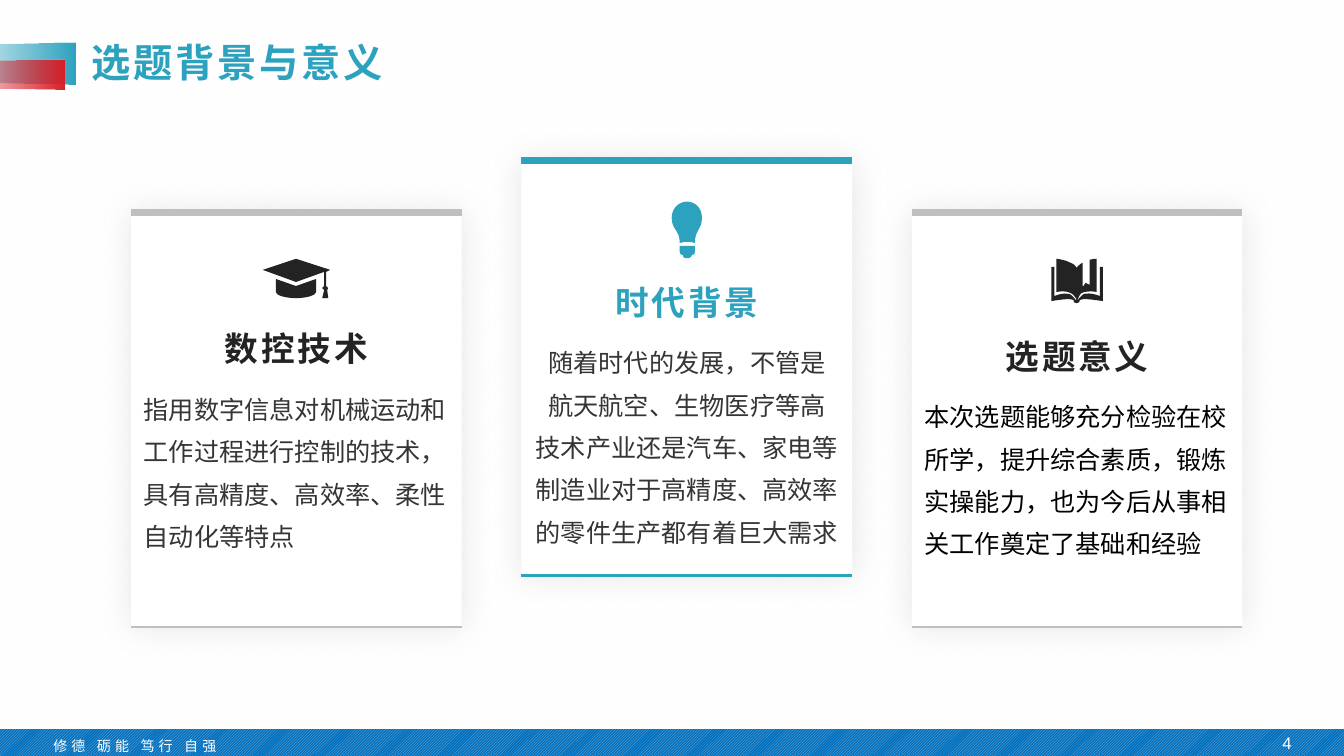
from dataclasses import dataclass

from lxml.etree import SubElement
from pptx import Presentation
from pptx.dml.color import RGBColor
from pptx.enum.dml import MSO_PATTERN
from pptx.enum.shapes import MSO_CONNECTOR, MSO_SHAPE
from pptx.enum.text import MSO_ANCHOR, PP_ALIGN
from pptx.oxml.ns import qn
from pptx.util import Inches, Pt

WIDTH, HEIGHT = Inches(13.33), Inches(7.5)
SANS = "Noto Sans CJK SC"
TEAL, RED, GREY, INK, TEXT, WHITE = "2DA2BF", "DA1F28", "BFBFBF", "232323", "353535", "FFFFFF"

# Card grid, in percent of the slide's width and height
FIRST_LEFT, PITCH, CARD_WIDTH, CARD_HEIGHT = 9.75, 29.05, 24.6, 54.9

# Icon outlines in hundredths of an inch: a pair is a corner,
# six numbers are a curve (two control points and an end)
Contour = list[tuple[float, ...]]
HAT: list[Contour] = [
    [(65, 29), (63, 27), (63, 13), (67, 11), (33, 0), (0, 11), (33, 23), (61, 13),
     (61, 27), (59, 29), (61, 31), (59, 39), (65, 39), (64, 31)],
    [(13, 20), (13, 33), (13, 36, 22, 39, 33, 39), (44, 39, 53, 36, 53, 33), (53, 20), (33, 27)],
]
BULB: list[Contour] = [
    [(8, 50), (8, 52, 9, 53, 11, 53), (11, 54, 12, 56, 13, 56), (17, 56),
     (19, 56, 20, 54, 20, 53), (22, 53, 23, 52, 23, 50), (23, 44), (8, 44)],
    [(15, 40), (17, 40, 19, 40, 23, 41), (23, 28, 30, 28, 30, 16), (30, 7, 24, 0, 15, 0),
     (7, 0, 0, 7, 0, 16), (0, 28, 8, 28, 8, 41), (11, 40, 14, 40, 15, 40)],
]
BOOK: list[Contour] = [
    [(22, 41), (22, 42), (22, 43, 23, 44, 25, 44), (27, 44, 28, 43, 28, 42), (28, 41),
     (29, 41, 30, 40, 32, 40), (39, 40, 51, 42, 51, 42), (51, 8), (48, 8), (48, 37),
     (48, 37, 39, 33, 32, 35), (30, 36, 28, 39, 26, 41), (26, 40), (27, 39, 28, 35, 30, 34),
     (37, 31, 45, 33, 45, 33), (45, 0), (45, 0, 42, 0, 38, 1), (38, 26), (34, 24), (31, 28),
     (31, 4), (28, 5, 25, 9, 25, 9), (25, 9, 23, 5, 19, 4), (14, 1, 5, 0, 5, 0), (5, 33),
     (5, 33, 14, 31, 19, 34), (22, 35, 24, 39, 25, 40), (24, 41), (23, 39, 20, 36, 18, 35),
     (12, 33, 3, 37, 3, 37), (3, 8), (0, 8), (0, 42), (0, 42, 11, 40, 18, 40),
     (20, 40, 21, 41, 22, 41)],
]


@dataclass
class Card:
    heading: str
    lines: list[str]
    icon: list[Contour]
    icon_offset: float
    icon_top: float
    top: float
    heading_top: float
    body_top: float
    accent: str = GREY
    heading_color: str = INK
    body_color: str = TEXT
    body_font: str = SANS
    align: PP_ALIGN = PP_ALIGN.LEFT


CARDS = [
    Card("数控技术",
         ["指用数字信息对机械运动和", "工作过程进行控制的技术，", "具有高精度、高效率、柔性", "自动化等特点"],
         HAT, 9.8, 34.23, 28.05, 42.67, 49.9),
    Card("时代背景",
         ["随着时代的发展，不管是", "航天航空、生物医疗等高", "技术产业还是汽车、家电等",
          "制造业对于高精度、高效率", "的零件生产都有着巨大需求"],
         BULB, 11.18, 26.67, 21.2, 36.67, 43.73, accent=TEAL, heading_color=TEAL,
         align=PP_ALIGN.CENTER),
    Card("选题意义",
         ["本次选题能够充分检验在校", "所学，提升综合素质，锻炼", "实操能力，也为今后从事相", "关工作奠定了基础和经验"],
         BOOK, 10.38, 34.23, 28.05, 43.73, 50.87, body_color="000000", body_font="Arial"),
]


def across(percent: float) -> int:
    return round(WIDTH * percent / 100)


def down(percent: float) -> int:
    return round(HEIGHT * percent / 100)


def frame(left: float, top: float, width: float, height: float) -> tuple[int, ...]:
    return across(left), down(top), across(width), down(height)


def rgb(value: str) -> RGBColor:
    return RGBColor.from_string(value)


def set_alpha(color_element, percent: float) -> None:
    SubElement(color_element, qn("a:alpha")).set("val", str(round(percent * 1000)))


def set_pattern(fill, pattern: MSO_PATTERN, fore: str, back: str) -> None:
    fill.patterned()
    fill.pattern = pattern
    fill.fore_color.rgb, fill.back_color.rgb = rgb(fore), rgb(back)


def paint(shape, color: str) -> None:
    shape.shadow.inherit = False
    shape.line.fill.background()
    shape.fill.solid()
    shape.fill.fore_color.rgb = rgb(color)


def add_plain(kind: MSO_SHAPE, *place: float, color: str = WHITE):
    shape = slide.shapes.add_shape(kind, *frame(*place))
    paint(shape, color)
    return shape


def write(shape, lines: list[str], *, size: float, color: str, font: str = SANS, bold: bool = False,
          align: PP_ALIGN = PP_ALIGN.LEFT, spacing: float = 1.0, tracking: float = 0,
          anchor: MSO_ANCHOR = MSO_ANCHOR.TOP, wrap: bool = True) -> None:
    text_frame = shape.text_frame
    text_frame.word_wrap, text_frame.vertical_anchor = wrap, anchor
    text_frame.text = "\n".join(lines)
    for paragraph in text_frame.paragraphs:
        paragraph.alignment, paragraph.line_spacing = align, spacing
        run = paragraph.runs[0]
        run.font.name, run.font.size, run.font.bold = font, Pt(size), bold
        run.font.color.rgb = rgb(color)
        properties = run.font._element
        properties.set("spc", str(round(tracking * 100)))
        SubElement(properties, qn("a:ea")).set("typeface", font)


def add_text(lines: list[str], *place: float, **style) -> None:
    write(slide.shapes.add_textbox(*frame(*place)), lines, **style)


def add_rule(left: float, top: float, width: float, color: str, weight: float) -> None:
    rule = slide.shapes.add_connector(MSO_CONNECTOR.STRAIGHT, across(left), down(top),
                                      across(left + width), down(top))
    rule.line.color.rgb, rule.line.width = rgb(color), Pt(weight)
    SubElement(rule._element.spPr, qn("a:effectLst"))


def add_ribbon(*place: float, color: str) -> None:
    ribbon = add_plain(MSO_SHAPE.TRAPEZOID, *place)
    ribbon.adjustments[0] = 0.07
    ribbon.rotation = 270
    ribbon.fill.gradient()
    ribbon.fill.gradient_angle = 270
    for stop, position in zip(ribbon.fill.gradient_stops, (0, 1)):
        stop.color.rgb, stop.position = rgb(color), position
    set_alpha(next(ribbon._element.spPr.iter(qn("a:srgbClr"))), 0)


def add_icon(contours: list[Contour], left: float, top: float, color: str) -> None:
    builder = slide.shapes.build_freeform(*contours[0][0], scale=Inches(0.01))
    for index, contour in enumerate(contours):
        if index:
            builder.move_to(*contour[0])
        builder.add_line_segments([segment[i:i + 2] for segment in contour[1:]
                                   for i in range(0, len(segment), 2)], close=True)
    icon = builder.convert_to_shape(across(left), down(top))
    paint(icon, color)
    # Join the three points of each curve into one Bézier segment
    steps = iter(list(icon._element.spPr.iter(qn("a:moveTo"), qn("a:lnTo"), qn("a:close"))))
    for contour in contours:
        next(steps)
        for segment in contour[1:]:
            step = next(steps)
            if len(segment) == 6:
                step.tag = qn("a:cubicBezTo")
                for extra in (next(steps), next(steps)):
                    step.append(extra[0])
                    extra.getparent().remove(extra)
        step = next(steps)
        if step.tag == qn("a:lnTo"):
            next(steps)


def add_card(card: Card, left: float) -> None:
    panel = add_plain(MSO_SHAPE.RECTANGLE, left, card.top, CARD_WIDTH, CARD_HEIGHT)
    glow = SubElement(panel._element.spPr.find(qn("a:effectLst")), qn("a:outerShdw"),
                      blurRad=str(Pt(25)), dist="0", algn="ctr", rotWithShape="0")
    set_alpha(SubElement(glow, qn("a:srgbClr"), val="000000"), 10)
    add_rule(left, card.top, CARD_WIDTH, card.accent, 5)
    add_rule(left, card.top + CARD_HEIGHT, CARD_WIDTH, card.accent, 1.75)
    add_icon(card.icon, left + card.icon_offset, card.icon_top, card.heading_color)
    add_text([card.heading], left + 4.23, card.heading_top, 16.13, 6.67, size=24,
             color=card.heading_color, bold=True, tracking=2, align=PP_ALIGN.CENTER)
    add_text(card.lines, left + 0.2, card.body_top, 24.23, 5.73 * len(card.lines) + 0.4,
             size=18, color=card.body_color, font=card.body_font, spacing=1.4,
             align=card.align, wrap=False)


presentation = Presentation()
presentation.slide_width, presentation.slide_height = WIDTH, HEIGHT
slide = presentation.slides.add_slide(presentation.slide_layouts[5])

# Background with a white veil
set_pattern(slide.background.fill, MSO_PATTERN.WIDE_UPWARD_DIAGONAL, "F2F2F2", WHITE)
veil = add_plain(MSO_SHAPE.RECTANGLE, 0, 0, 100, 100)
set_alpha(next(veil._element.spPr.iter(qn("a:srgbClr"))), 65)

# Title with its ribbons
add_ribbon(-0.9, -0.53, 3.05, 17.87, color=TEAL)
add_ribbon(-0.68, 2.13, 2.18, 15.47, color=RED)
title = slide.shapes.title
slide.shapes._spTree.append(title._element)
title.left, title.top, title.width, title.height = frame(6.08, 5.07, 59.71, 7.07)
write(title, ["选题背景与意义"], size=28, color=TEAL, bold=True, tracking=2, spacing=0.9,
      anchor=MSO_ANCHOR.MIDDLE)

# Footer band
band = add_plain(MSO_SHAPE.RECTANGLE, 0, 96.45, 100, 3.55)
set_pattern(band.fill, MSO_PATTERN.DARK_UPWARD_DIAGONAL, "91B4CC", "0070C0")
add_text(["修德 砺能 笃行 自强"], 3.23, 95.8, 14.63, 4.4, size=10, color=WHITE, tracking=3,
         spacing=1.5, wrap=False)
add_text(["4"], 74.34, 95.6, 22.51, 5.33, size=12, color=WHITE, font="Arial",
         align=PP_ALIGN.RIGHT, anchor=MSO_ANCHOR.MIDDLE)

# Cards
for column, card in enumerate(CARDS):
    add_card(card, FIRST_LEFT + column * PITCH)

presentation.save("out.pptx")
